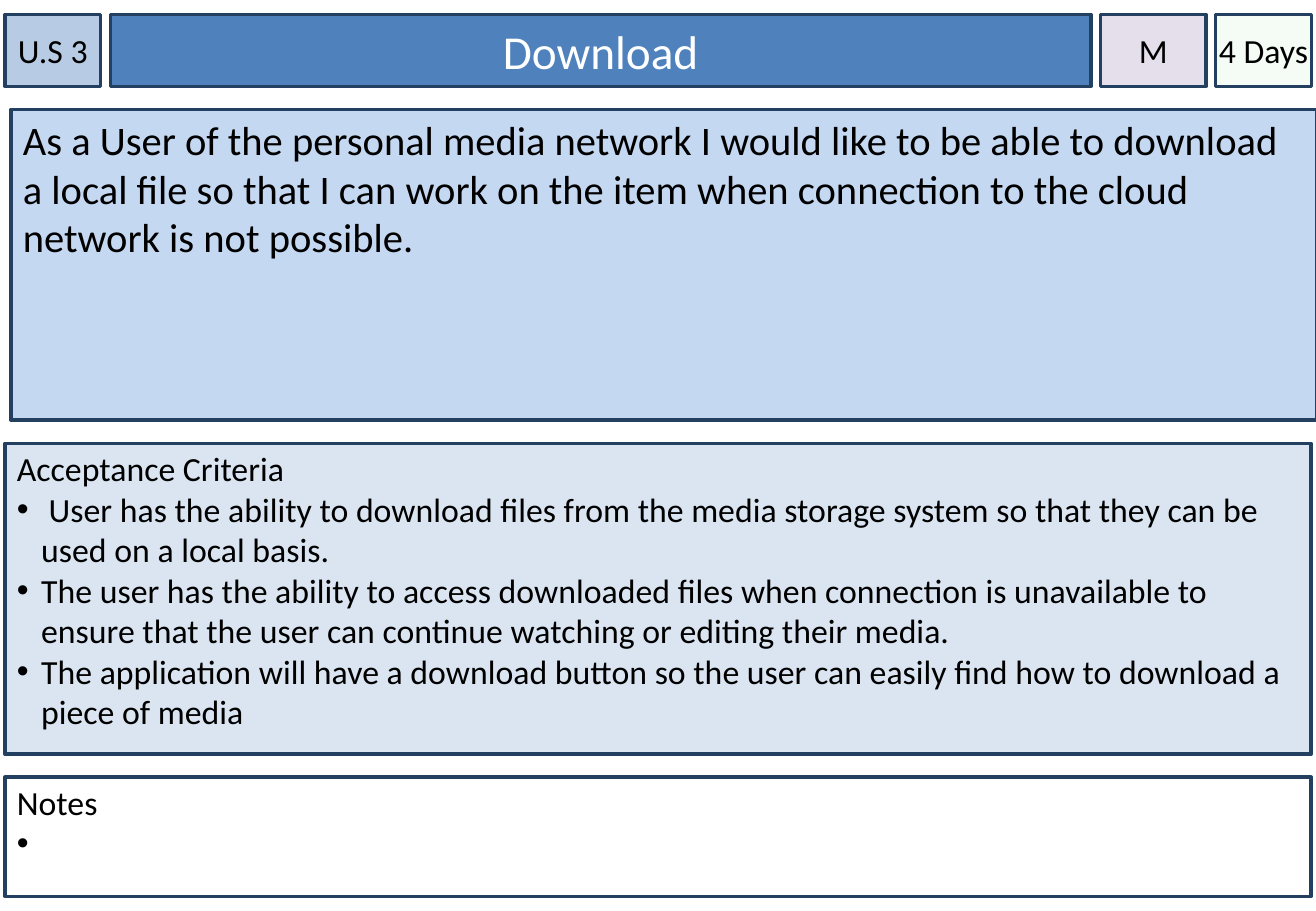
import pptx
import pptx.util
import pptx.dml.color
import pptx.enum.shapes
import pptx.enum.text
import pptx.oxml.ns
from lxml import etree

RGBColor = pptx.dml.color.RGBColor
Inches = pptx.util.Inches
Pt = pptx.util.Pt
qn = pptx.oxml.ns.qn
ALIGN = pptx.enum.text.PP_ALIGN
ANCHOR = pptx.enum.text.MSO_ANCHOR

BLACK = RGBColor(0x00, 0x00, 0x00)
WHITE = RGBColor(0xFF, 0xFF, 0xFF)
NAVY = RGBColor(0x24, 0x40, 0x61)
BLUE = RGBColor(0x4F, 0x81, 0xBD)
STEEL = RGBColor(0xB7, 0xCC, 0xE4)
SKY = RGBColor(0xC5, 0xD8, 0xF1)
MIST = RGBColor(0xDA, 0xE5, 0xF1)
LILAC = RGBColor(0xE5, 0xDF, 0xEC)
MINT = RGBColor(0xCC, 0xF0, 0xCD)

LEFT, TOP = 0.37, 1.6
COL_GAP, ROW_GAP = 0.72, 2.53
HEADER_H = 7.87
PANEL_W = 99.26


def write(p, text, size=20, color=BLACK, font="Calibri", align=ALIGN.LEFT, bullet=False):
    """Write text into a paragraph with its format."""
    p.alignment = align
    r = p.add_run()
    r.text = text
    r.font.name, r.font.size, r.font.color.rgb = font, Pt(size), color
    if bullet:
        pPr = p._p.get_or_add_pPr()
        pPr.set("marL", str(Inches(0.2)))
        pPr.set("indent", str(-Inches(0.2)))
        clr = etree.SubElement(pPr, qn("a:buClr"))
        etree.SubElement(clr, qn("a:srgbClr")).set("val", str(BLACK))
        etree.SubElement(pPr, qn("a:buFont")).set("typeface", "Arial")
        etree.SubElement(pPr, qn("a:buChar")).set("char", "•")


class Card:
    """Hold the card style and slide; lengths are percent of the slide."""

    def __init__(self, prs):
        """Add a blank slide to the presentation."""
        self.w, self.h = prs.slide_width, prs.slide_height
        self.s = prs.slides.add_slide(prs.slide_layouts[6])

    def box(self, x, y, w, h, fill, alpha=None, inset=0.1, top=0.05, anchor=ANCHOR.TOP):
        """Draw an outlined rectangle and return its text frame."""
        sp = self.s.shapes.add_shape(
            pptx.enum.shapes.MSO_SHAPE.RECTANGLE,
            int(self.w * x / 100), int(self.h * y / 100),
            int(self.w * w / 100), int(self.h * h / 100))
        sp.shadow.inherit = False
        sp.fill.solid()
        sp.fill.fore_color.rgb = fill
        if alpha is not None:
            clr = sp._element.spPr.find(qn("a:solidFill")).find(qn("a:srgbClr"))
            etree.SubElement(clr, qn("a:alpha")).set("val", str(alpha * 1000))
        sp.line.color.rgb, sp.line.width = NAVY, Pt(2)
        tf = sp.text_frame
        tf.word_wrap, tf.vertical_anchor = True, anchor
        tf.margin_left = tf.margin_right = Inches(inset)
        tf.margin_top, tf.margin_bottom = Inches(top), Inches(0.05)
        return tf

    def header(self, x, w, text, fill, size=20, color=BLACK, alpha=None, inset=0):
        """Draw one centred cell of the header row."""
        tf = self.box(x, TOP, w, HEADER_H, fill, alpha, inset, anchor=ANCHOR.MIDDLE)
        write(tf.paragraphs[0], text, size, color, align=ALIGN.CENTER)

    def panel(self, y, h, text, fill, bullets=(), x=LEFT, size=20, top=0.04):
        """Draw a full-width panel with a lead line and bullets."""
        tf = self.box(x, y, PANEL_W, h, fill, top=top)
        write(tf.paragraphs[0], text, size)
        for item in bullets:
            write(tf.add_paragraph(), item, size, bullet=True)


prs = pptx.Presentation()
prs.slide_width, prs.slide_height = Inches(10.83), Inches(7.5)
card = Card(prs)

headers = [
    (7.29, "U.S 3", STEEL, {}),
    (74.52, "Download", BLUE, {"size": 28, "color": WHITE, "inset": 0.1}),
    (8.03, "M", LILAC, {}),
    (7.29, "4 Days", MINT, {"alpha": 20}),
]
x = LEFT
for w, text, fill, style in headers:
    card.header(x, w, text, fill, **style)
    x += w + COL_GAP

story = (
    "As a User of the personal media network I would like to be able to download "
    "a local file so that I can work on the item when connection to the cloud "
    "network is not possible.")
criteria = [
    " User has the ability to download files from the media storage system so that "
    "they can be used on a local basis.",
    "The user has the ability to access downloaded files when connection is "
    "unavailable to ensure that the user can continue watching or editing their media.",
    "The application will have a download button so the user can easily find how to "
    "download a piece of media",
]
panels = [
    (34.13, story, SKY, {"x": 0.83, "size": 24, "top": 0.05}),
    (34.13, "Acceptance Criteria", MIST, {"bullets": criteria}),
    (13.07, "Notes", WHITE, {"bullets": [" "]}),
]
y = TOP + HEADER_H + ROW_GAP
for h, text, fill, style in panels:
    card.panel(y, h, text, fill, **style)
    y += h + ROW_GAP

prs.save("out.pptx")
